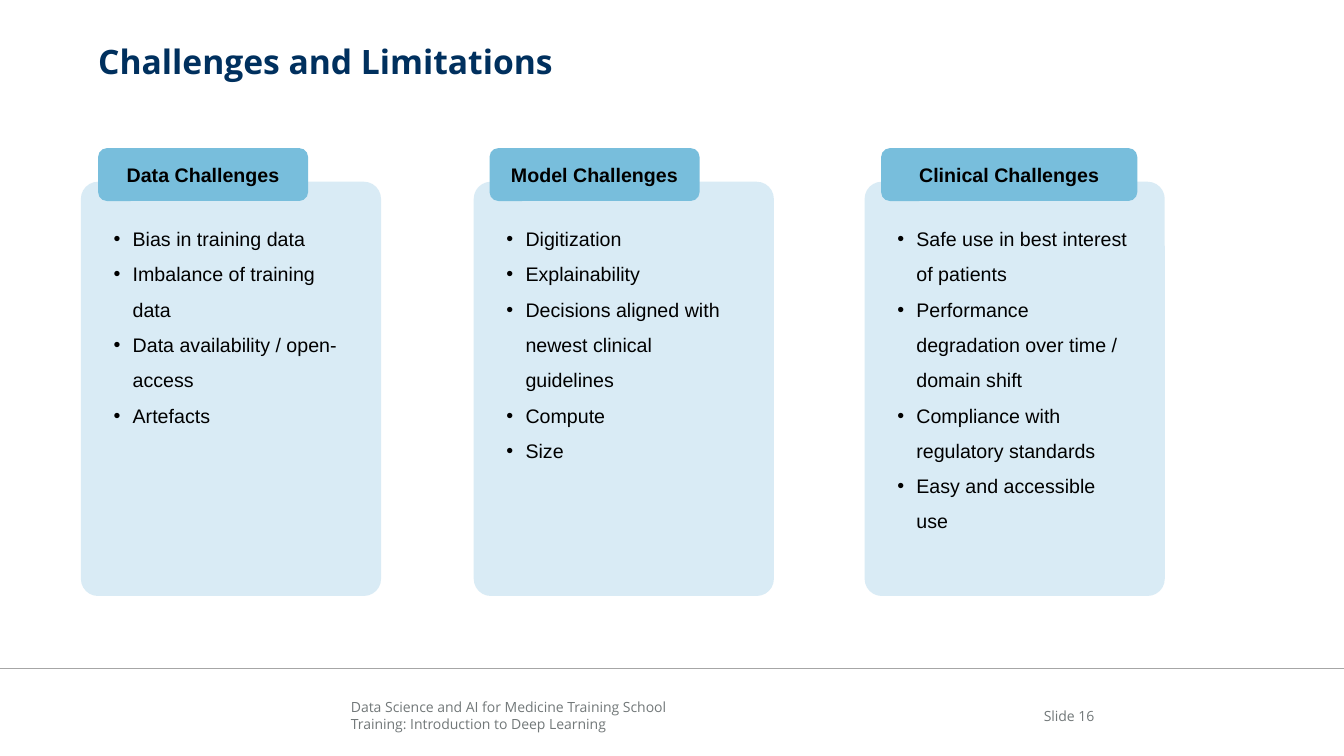
from lxml.etree import SubElement
from pptx import Presentation
from pptx.dml.color import RGBColor
from pptx.enum.shapes import MSO_CONNECTOR as CONNECTOR, MSO_SHAPE as SHAPE
from pptx.enum.text import MSO_ANCHOR as ANCHOR, PP_ALIGN as ALIGN
from pptx.oxml.ns import qn
from pptx.util import Pt

COLORS = {
    "title": "00305E",
    "text": "000000",
    "panel": "B4D9EC",
    "tag": "78BEDC",
    "footer": "727879",
    "rule": "A6A6A6",
}
SLIDE_WIDTH, SLIDE_HEIGHT = 960, 540
PANEL_TOP, PANEL_WIDTH, PANEL_HEIGHT = 129.8, 214.4, 295.9
TAG_TOP, TAG_HEIGHT = 105.8, 37.8
BULLET_INDENT = 13.6

CHALLENGES = [
    (57.8, 70.1, 150, 14.4, "Data Challenges", [
        "Bias in training data",
        "Imbalance of training data",
        "Data availability / open-access",
        "Artefacts",
    ]),
    (338.4, 349.7, 150, 17.3, "Model Challenges", [
        "Digitization",
        "Explainability",
        "Decisions aligned with newest clinical guidelines",
        "Compute",
        "Size",
    ]),
    (617.6, 629.4, 183, 20.2, "Clinical Challenges", [
        "Safe use in best interest of patients",
        "Performance degradation over time / domain shift",
        "Compliance with regulatory standards",
        "Easy and accessible use",
    ]),
]


def color(name):
    return RGBColor.from_string(COLORS[name])


def set_font(paragraph, family, size, color_name, bold=False):
    font = paragraph.font
    font.name, font.size, font.bold = family, Pt(size), bold
    font.color.rgb = color(color_name)


def set_insets(frame, left=0, top=0, right=0, bottom=0):
    frame.margin_left, frame.margin_top = Pt(left), Pt(top)
    frame.margin_right, frame.margin_bottom = Pt(right), Pt(bottom)
    frame.word_wrap = True


def add_bullet(paragraph):
    properties = paragraph._p.get_or_add_pPr()
    properties.set("marL", str(Pt(BULLET_INDENT)))
    properties.set("indent", str(-Pt(BULLET_INDENT)))
    SubElement(properties, qn("a:buFont"), typeface="Arial")
    SubElement(properties, qn("a:buChar"), char="•")


def add_card(shapes, left, top, width, height, fill_name):
    card = shapes.add_shape(
        SHAPE.ROUNDED_RECTANGLE, Pt(left), Pt(top), Pt(width), Pt(height))
    card.shadow.inherit = False
    card.fill.solid()
    card.fill.fore_color.rgb = color(fill_name)
    card.line.fill.background()
    return card


def add_panel(shapes, left, right_inset, items):
    panel = add_card(
        shapes, left, PANEL_TOP, PANEL_WIDTH, PANEL_HEIGHT, "panel")
    panel.adjustments[0] = 0.057
    fill_color = panel.fill._xPr.find(qn("a:solidFill"))[0]
    SubElement(fill_color, qn("a:alpha"), val="50000")
    frame = panel.text_frame
    set_insets(frame, 19.8, 20.4, right_inset, 3.6)
    frame.vertical_anchor = ANCHOR.TOP
    frame.text = "\n".join(items)
    for item in frame.paragraphs:
        item.alignment = ALIGN.LEFT
        item.line_spacing = 1.5
        add_bullet(item)
        set_font(item, "Arial", 14, "text")


def add_tag(shapes, left, width, heading):
    tag = add_card(shapes, left, TAG_TOP, width, TAG_HEIGHT, "tag")
    frame = tag.text_frame
    frame.vertical_anchor = ANCHOR.MIDDLE
    frame.text = heading
    frame.paragraphs[0].alignment = ALIGN.CENTER
    set_font(frame.paragraphs[0], "Arial", 14, "text", bold=True)


def add_title(slide, text):
    title = slide.shapes.title
    title.left, title.top = Pt(70.1), Pt(29.5)
    title.width, title.height = Pt(808.6), Pt(64)
    frame = title.text_frame
    set_insets(frame)
    frame.vertical_anchor = ANCHOR.TOP
    frame.text = text
    heading = frame.paragraphs[0]
    heading.alignment = ALIGN.LEFT
    set_font(heading, "Open Sans", 24, "title", bold=True)


def add_footer_text(slide, left, top, width, height, text, alignment):
    footer = slide.shapes.add_textbox(Pt(left), Pt(top), Pt(width), Pt(height))
    frame = footer.text_frame
    set_insets(frame)
    frame.text = text
    for line in frame.paragraphs:
        line.alignment = alignment
        set_font(line, "Open Sans", 10, "footer")


def add_footer_rule(slide, top):
    rule = slide.shapes.add_connector(
        CONNECTOR.STRAIGHT, Pt(0), Pt(top), Pt(SLIDE_WIDTH), Pt(top))
    rule.line.color.rgb = color("rule")
    rule.line.width = Pt(1)
    SubElement(rule._element.spPr, qn("a:effectLst"))


def main():
    """Build the slide on challenges and limitations and save it."""
    deck = Presentation()
    deck.slide_width, deck.slide_height = Pt(SLIDE_WIDTH), Pt(SLIDE_HEIGHT)
    slide = deck.slides.add_slide(deck.slide_layouts[5])
    add_footer_rule(slide, 477.4)
    add_footer_text(slide, 716.2, 505.4, 65.5, 14, "Slide 16", ALIGN.RIGHT)
    add_footer_text(
        slide, 250.6, 499, 447, 24.5,
        "Data Science and AI for Medicine Training School\n"
        "Training: Introduction to Deep Learning", ALIGN.LEFT)
    add_title(slide, "Challenges and Limitations")
    for left, tag_left, tag_width, right_inset, heading, items in CHALLENGES:
        group = slide.shapes.add_group_shape()
        add_panel(group.shapes, left, right_inset, items)
        add_tag(group.shapes, tag_left, tag_width, heading)
    deck.save("out.pptx")


if __name__ == "__main__":
    main()
